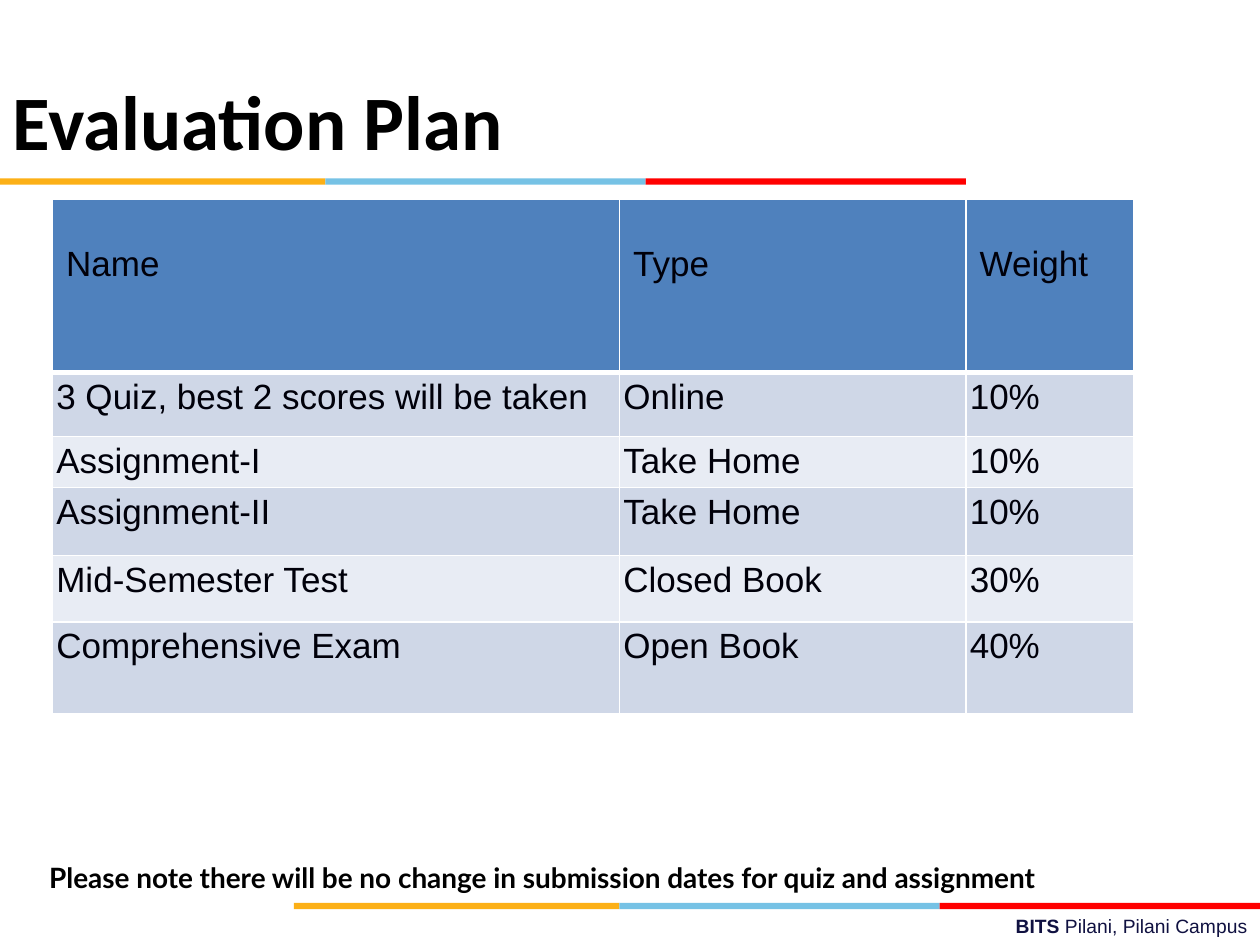
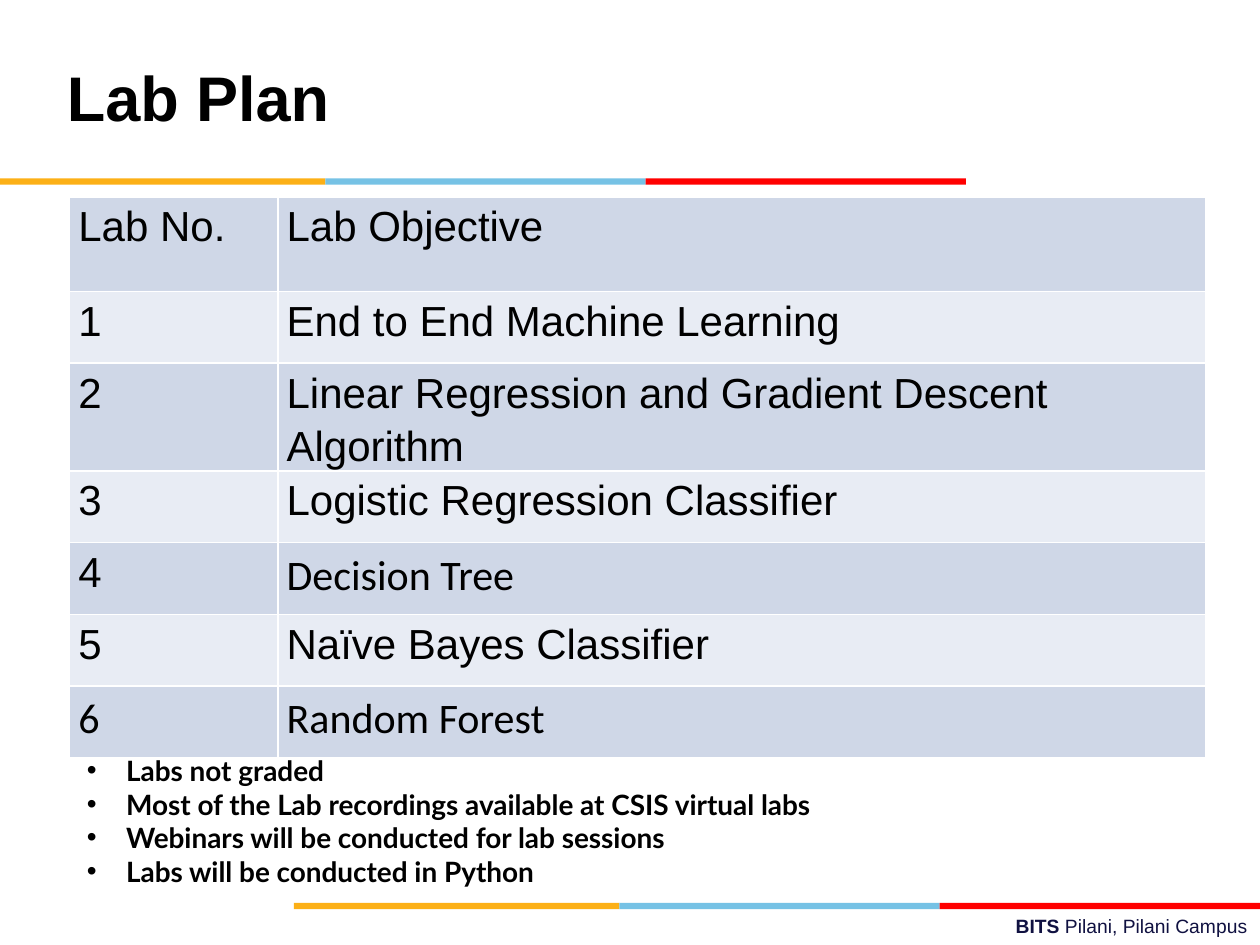
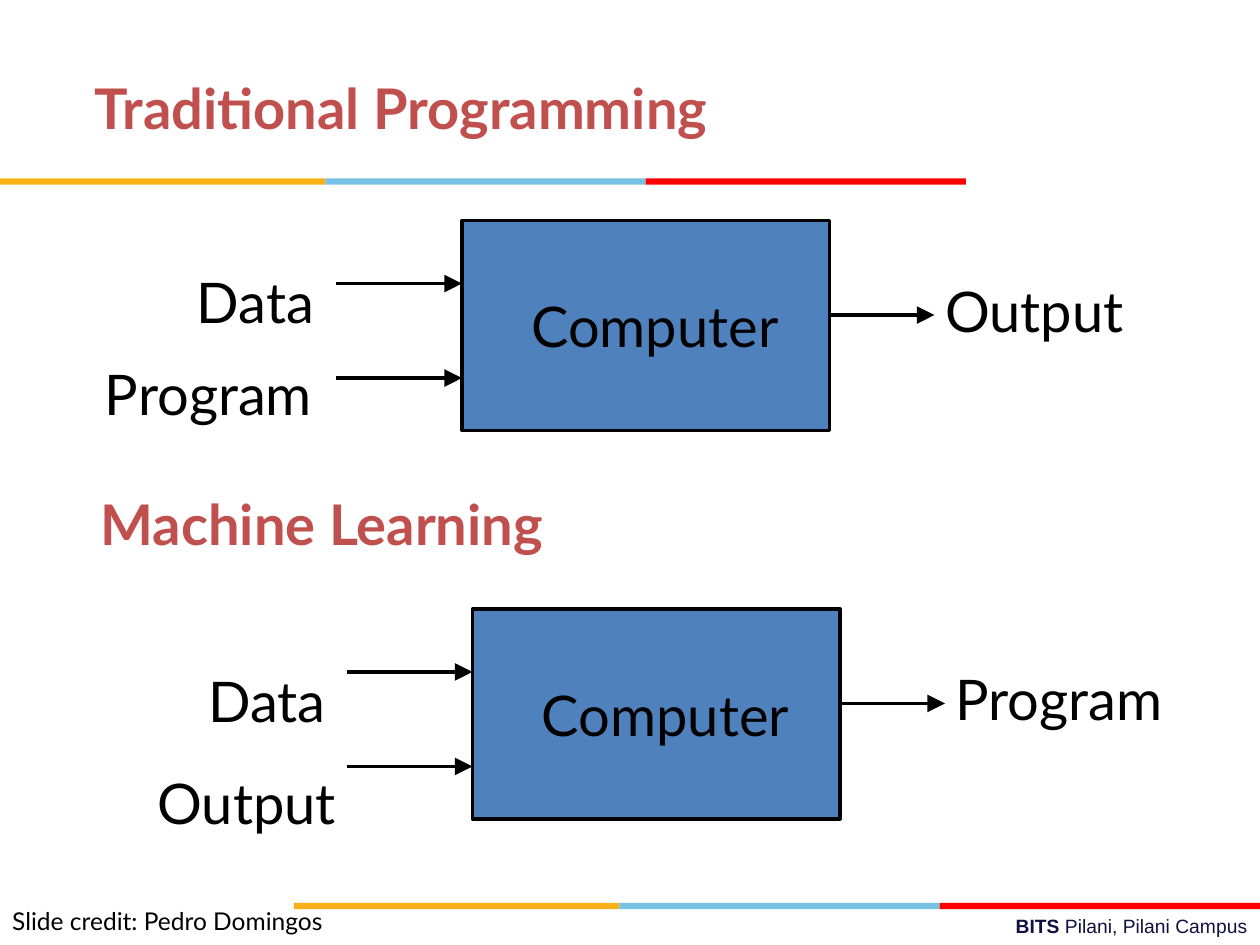
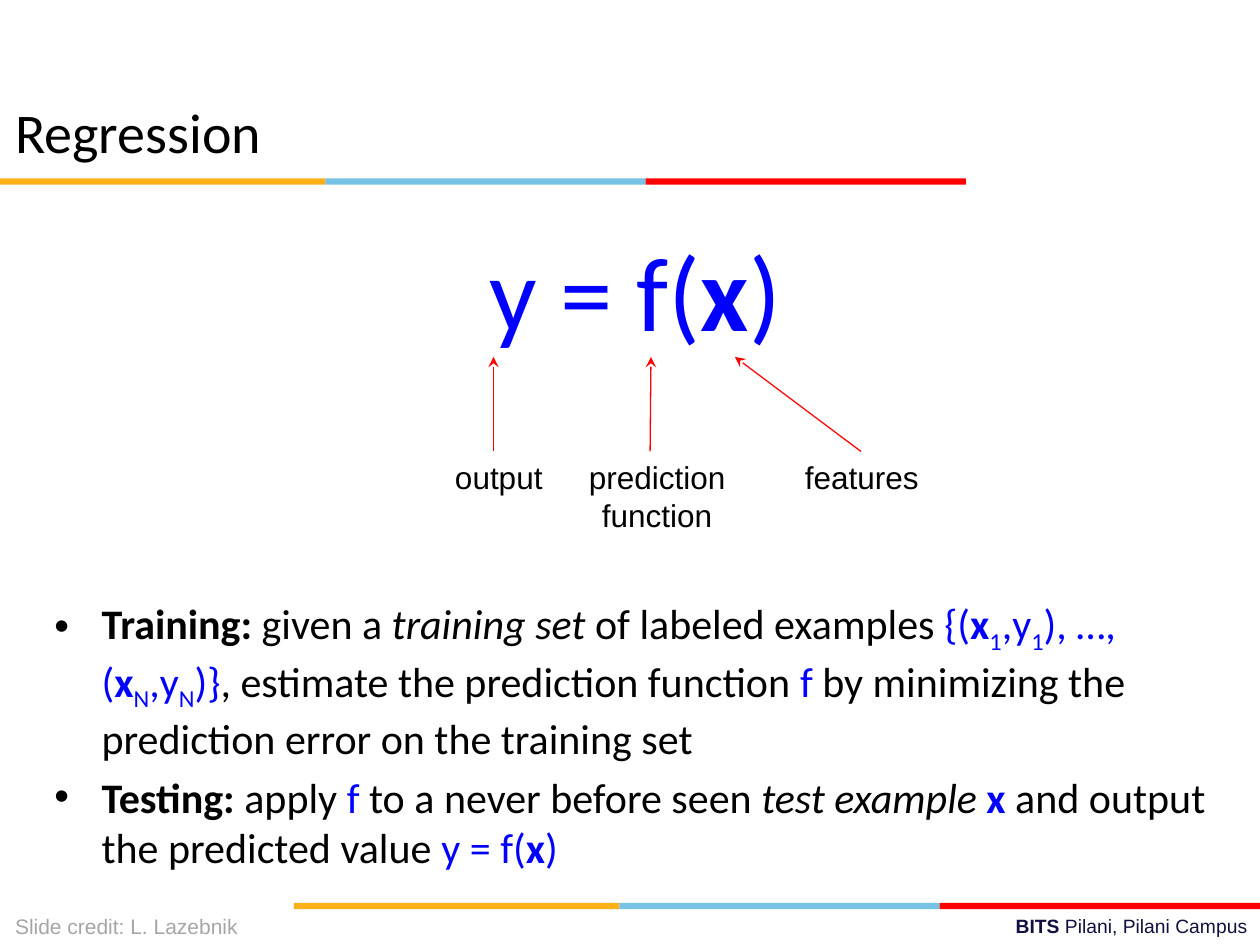
import dataclasses
import enum
import typing

import pptx
import pptx.dml.color
import pptx.enum.shapes
import pptx.enum.text
import pptx.oxml.ns
import pptx.presentation
import pptx.shapes.autoshape
import pptx.slide
import pptx.table
import pptx.text.text
import pptx.util
from lxml import etree

Pt = pptx.util.Pt
qn = pptx.oxml.ns.qn
ALIGN = pptx.enum.text.PP_ALIGN
ANCHOR = pptx.enum.text.MSO_ANCHOR
RECTANGLE = pptx.enum.shapes.MSO_SHAPE.RECTANGLE
STRAIGHT = pptx.enum.shapes.MSO_CONNECTOR.STRAIGHT
TITLE_ONLY = 5


class Style(enum.Flag):
    PLAIN = 0
    BOLD = enum.auto()
    ITALIC = enum.auto()
    MATH = enum.auto()
    SUBSCRIPT = enum.auto()


class Box(typing.NamedTuple):
    left: float
    top: float
    width: float
    height: float


class Margins(typing.NamedTuple):
    left: float
    top: float
    right: float
    bottom: float


class Look(typing.NamedTuple):
    font: str
    size: float
    color: str
    bold: bool = False


class Span(typing.NamedTuple):
    text: str
    style: Style = Style.PLAIN


@dataclasses.dataclass(frozen=True)
class Theme:
    black: str = "000000"
    red: str = "FF0000"
    blue: str = "4F81BD"
    white: str = "FFFFFF"
    math: str = "0000FF"
    bands: tuple[str, ...] = ("FCB017", "76C2E5", "FF0000")
    table_rows: tuple[str, str] = ("E8ECF4", "CFD7E7")
    campus: Look = Look("Arial", 11, "101141")
    evaluation_title: Look = Look("Calibri", 44, "000000", True)
    lab_title: Look = Look("Arial", 36, "000000", True)
    flow_title: Look = Look("Lato", 32, "C0504D", True)
    regression_title: Look = Look("Calibri", 32, "000000")
    evaluation_cell: Look = Look("Arial", 20, "00000A")
    lab_cell: Look = Look("Arial", 24, "000000")
    lab_cell_alternate: Look = Look("Calibri", 24, "000000")
    note: Look = Look("Lato", 16, "000000", True)
    flow_label: Look = Look("Lato", 32, "000000")
    flow_credit: Look = Look("Lato", 14, "000000")
    formula: Look = Look("Calibri", 60, "000000")
    body: Look = Look("Calibri", 24, "000000")
    formula_label: Look = Look("Arial", 18, "000000")
    regression_credit: Look = Look("Arial", 12, "A5A5A5")


@dataclasses.dataclass(frozen=True)
class Flow:
    """Two inputs entering a computer and one output leaving it."""
    left: float
    top: float
    inputs: tuple[str, str]
    inputs_box: Box
    first_indent: float
    line_spacing: float
    output: str


@dataclasses.dataclass(frozen=True)
class Grid:
    left: float
    top: float
    columns: tuple[float, ...]
    rows: tuple[float, ...]
    texts: tuple[tuple[str, ...], ...]


THEME = Theme()
NORMAL = Margins(7.2, 3.6, 7.2, 3.6)
TIGHT = Margins(0, 1, 0, 0)

EVALUATION = Grid(
    30, 114, (324, 198, 96), (99, 36.5, 29, 39, 38, 52.5),
    (
        ("Name", "Type", "Weight"),
        ("3 Quiz, best 2 scores will be taken", "Online", "10%"),
        ("Assignment-I", "Take Home", "10%"),
        ("Assignment-II", "Take Home", "10%"),
        ("Mid-Semester Test", "Closed Book", "30%"),
        ("Comprehensive Exam", "Open Book", "40%"),
    ),
)
LABS = Grid(
    39.8, 112.5, (119, 530.5), (54,) + (41,) * 6,
    (
        ("Lab No.", "Lab Objective"),
        ("1", "End to End Machine Learning"),
        ("2", "Linear Regression and Gradient Descent Algorithm"),
        ("3", "Logistic Regression Classifier"),
        ("4", "Decision Tree"),
        ("5", "Naïve Bayes Classifier"),
        ("6", "Random Forest"),
    ),
)
LAB_ALTERNATE_TEXTS = ("Decision Tree", "6", "Random Forest")
LAB_NOTES = (
    "Labs not graded",
    "Most of the Lab recordings available at CSIS virtual labs",
    "Webinars will be conducted for lab sessions",
    "Labs will be conducted in Python",
)
FLOWS = (
    Flow(264, 126, ("Data", "Program"), Box(60, 137.5, 138, 107), 52.5, 1.37, "Output"),
    Flow(270, 348, ("Data", "Output"), Box(90, 359.3, 132, 119.5), 29, 1.53, "Program"),
)

MATH = Style.MATH
VECTOR = Style.MATH | Style.BOLD
INDEX = Style.MATH | Style.SUBSCRIPT
FORMULA = (Span("y = f(", MATH), Span("x", VECTOR), Span(")", MATH))


def example(index: str) -> tuple[Span, ...]:
    """The inside of one labelled pair, such as x1,y1."""
    return Span("x", VECTOR), Span(index, INDEX), Span(",y", MATH), Span(index, INDEX)


TRAINING = (
    Span("Training: ", Style.BOLD), Span("given a "), Span("training set ", Style.ITALIC),
    Span("of labeled examples "), Span("{(", MATH), *example("1"), Span("), …, (", MATH),
    *example("N"), Span(")}", MATH), Span(", estimate the prediction function "),
    Span("f ", MATH),
    Span("by minimizing the prediction error on the training set"),
)
TESTING = (
    Span("Testing:", Style.BOLD), Span(" apply "), Span("f", MATH),
    Span(" to a never before seen "), Span("test example ", Style.ITALIC),
    Span("x", VECTOR), Span(" and output the predicted value "), *FORMULA,
)


def rgb(color: str) -> pptx.dml.color.RGBColor:
    return pptx.dml.color.RGBColor.from_string(color)


def format_run(run: pptx.text.text._Run, look: Look) -> None:
    run.font.name = look.font
    run.font.size = Pt(look.size)
    run.font.bold = look.bold
    run.font.color.rgb = rgb(look.color)


def write_spans(
    paragraph: pptx.text.text._Paragraph, spans: typing.Iterable[Span], look: Look
) -> None:
    for span in spans:
        run = paragraph.add_run()
        run.text = span.text
        format_run(run, look)
        run.font.bold = Style.BOLD in span.style
        run.font.italic = Style.ITALIC in span.style
        if Style.MATH in span.style:
            run.font.color.rgb = rgb(THEME.math)
        if Style.SUBSCRIPT in span.style:
            run.font._element.set("baseline", "-25000")


def indent(paragraph: pptx.text.text._Paragraph, left: float, first: float = 0) -> None:
    properties = paragraph._p.get_or_add_pPr()
    properties.set("marL", str(Pt(left)))
    properties.set("indent", str(Pt(first)))


def add_bullet(paragraph: pptx.text.text._Paragraph, hanging: float) -> None:
    indent(paragraph, hanging, -hanging)
    properties = paragraph._p.get_or_add_pPr()
    color = etree.SubElement(properties, qn("a:buClr"))
    etree.SubElement(color, qn("a:srgbClr"), val=THEME.black)
    etree.SubElement(properties, qn("a:buFont"), typeface="Arial")
    etree.SubElement(properties, qn("a:buChar"), char="•")


def set_frame(
    frame: pptx.text.text.TextFrame, margins: Margins, anchor: ANCHOR = ANCHOR.TOP
) -> None:
    frame.word_wrap = True
    frame.auto_size = pptx.enum.text.MSO_AUTO_SIZE.NONE
    frame.vertical_anchor = anchor
    frame.margin_left, frame.margin_top, frame.margin_right, frame.margin_bottom = map(
        Pt, margins
    )


def set_text(
    frame: pptx.text.text.TextFrame, text: str, look: Look, align: ALIGN = ALIGN.LEFT
) -> None:
    frame.text = text
    for paragraph in frame.paragraphs:
        paragraph.alignment = align
        for run in paragraph.runs:
            format_run(run, look)


def add_text(
    slide: pptx.slide.Slide, box: Box, text: str, look: Look,
    margins: Margins = NORMAL, align: ALIGN = ALIGN.LEFT,
) -> pptx.text.text.TextFrame:
    frame = slide.shapes.add_textbox(*map(Pt, box)).text_frame
    set_frame(frame, margins)
    set_text(frame, text, look, align)
    return frame


def add_rectangle(
    slide: pptx.slide.Slide, box: Box, color: str
) -> pptx.shapes.autoshape.Shape:
    shape = slide.shapes.add_shape(RECTANGLE, *map(Pt, box))
    shape.shadow.inherit = False
    shape.fill.solid()
    shape.fill.fore_color.rgb = rgb(color)
    shape.line.fill.background()
    return shape


def add_arrow(
    slide: pptx.slide.Slide, start: tuple[float, float], end: tuple[float, float],
    color: str, width: float, head: str, head_size: str,
) -> None:
    connector = slide.shapes.add_connector(STRAIGHT, *map(Pt, start + end))
    connector.line.color.rgb = rgb(color)
    connector.line.width = Pt(width)
    etree.SubElement(
        connector.line._get_or_add_ln(), qn("a:tailEnd"),
        type=head, w=head_size, len=head_size,
    )
    etree.SubElement(connector._element.spPr, qn("a:effectLst"))


def add_bands(slide: pptx.slide.Slide, left: float, top: float) -> None:
    for color, width in zip(THEME.bands, (186, 183, 183)):
        add_rectangle(slide, Box(left, top, width, 3.6), color)
        left += width


def add_slide(
    presentation: pptx.presentation.Presentation, title: str, box: Box, look: Look,
    margins: Margins = NORMAL, anchor: ANCHOR = ANCHOR.MIDDLE,
) -> pptx.slide.Slide:
    """Add a slide with its title, both colour bands and the campus footer."""
    slide = presentation.slides.add_slide(presentation.slide_layouts[TITLE_ONLY])
    footer = add_text(slide, Box(258, 519, 462, 21), "", THEME.campus)
    footer.paragraphs[0].alignment = ALIGN.RIGHT
    spans = Span("BITS ", Style.BOLD), Span("Pilani, Pilani Campus")
    write_spans(footer.paragraphs[0], spans, THEME.campus)
    add_bands(slide, 168, 516)
    add_bands(slide, 0, 102)
    shape = slide.shapes.title
    shape.left, shape.top, shape.width, shape.height = map(Pt, box)
    set_frame(shape.text_frame, margins, anchor)
    set_text(shape.text_frame, title, look)
    return slide


def set_borders(cell: pptx.table._Cell, top: float, bottom: float) -> None:
    properties = cell._tc.get_or_add_tcPr()
    for side, width in zip("LRTB", (1, 1, top, bottom)):
        line = etree.SubElement(properties, qn(f"a:ln{side}"), w=str(Pt(width)))
        fill = etree.SubElement(line, qn("a:solidFill"))
        etree.SubElement(fill, qn("a:srgbClr"), val=THEME.white)


def set_cell(
    cell: pptx.table._Cell, text: str, look: Look, margins: Margins, color: str,
    top: float = 1, bottom: float = 1,
) -> None:
    cell.margin_left, cell.margin_top, cell.margin_right, cell.margin_bottom = map(
        Pt, margins
    )
    set_text(cell.text_frame, text, look)
    set_borders(cell, top, bottom)
    cell.fill.solid()
    cell.fill.fore_color.rgb = rgb(color)


def add_grid(slide: pptx.slide.Slide, grid: Grid) -> pptx.table.Table:
    box = Box(grid.left, grid.top, sum(grid.columns), sum(grid.rows))
    table = slide.shapes.add_table(
        len(grid.rows), len(grid.columns), *map(Pt, box)
    ).table
    table.first_row = table.horz_banding = False
    for column, width in zip(table.columns, grid.columns):
        column.width = Pt(width)
    for row, height in zip(table.rows, grid.rows):
        row.height = Pt(height)
    return table


def build_evaluation(presentation: pptx.presentation.Presentation) -> None:
    slide = add_slide(
        presentation, "Evaluation Plan", Box(0, 35, 482, 67), THEME.evaluation_title
    )
    table = add_grid(slide, EVALUATION)
    for row, texts in enumerate(EVALUATION.texts):
        for column, text in enumerate(texts):
            set_cell(
                table.cell(row, column), text, THEME.evaluation_cell,
                Margins(2.2, 2.9, 2.9, 2.9) if row else Margins(7.8, 26, 2.9, 2.9),
                THEME.table_rows[row % 2] if row else THEME.blue,
                top=3 if row == 1 else 1,
                bottom=1 if row else 3,
            )
    add_text(
        slide, Box(21, 488, 666, 27),
        "Please note there will be no change in submission dates for quiz and assignment",
        THEME.note,
    )


def build_labs(presentation: pptx.presentation.Presentation) -> None:
    slide = add_slide(presentation, "Lab Plan", Box(31, 21.5, 482, 67), THEME.lab_title)
    table = add_grid(slide, LABS)
    for row, texts in enumerate(LABS.texts):
        for column, text in enumerate(texts):
            alternate = text in LAB_ALTERNATE_TEXTS
            cell = table.cell(row, column)
            set_cell(
                cell, text, THEME.lab_cell_alternate if alternate else THEME.lab_cell,
                Margins(5, 0, 5, 0), THEME.table_rows[(row + 1) % 2],
            )
            cell.text_frame.paragraphs[0].line_spacing = 1.15
    notes = add_text(slide, Box(42.5, 427, 666, 85), "\n".join(LAB_NOTES), THEME.note)
    for paragraph in notes.paragraphs:
        add_bullet(paragraph, 22.5)


def add_flow(slide: pptx.slide.Slide, flow: Flow) -> None:
    computer = add_rectangle(slide, Box(flow.left, flow.top, 210, 120), THEME.blue)
    computer.line.color.rgb = rgb(THEME.black)
    computer.line.width = Pt(2)
    set_frame(computer.text_frame, Margins(39.6, 0, 0, 0), ANCHOR.MIDDLE)
    set_text(computer.text_frame, "Computer", THEME.flow_label)

    right = flow.left + 210
    for start, end, drop in (
        (flow.left - 72, flow.left, 36),
        (flow.left - 72, flow.left, 90),
        (right, right + 60, 54),
    ):
        y = flow.top + drop
        add_arrow(slide, (start, y), (end, y), THEME.black, 2, "triangle", "lg")

    inputs = add_text(
        slide, flow.inputs_box, "\n".join(flow.inputs), THEME.flow_label, TIGHT
    )
    for paragraph in inputs.paragraphs:
        paragraph.line_spacing = flow.line_spacing
    indent(inputs.paragraphs[0], flow.first_indent)
    add_text(
        slide, Box(right + 66, flow.top + 31, 132, 40), flow.output,
        THEME.flow_label, TIGHT,
    )


def build_flows(presentation: pptx.presentation.Presentation) -> None:
    slide = add_slide(
        presentation, "Traditional Programming", Box(54, 41, 384, 40),
        THEME.flow_title, TIGHT, ANCHOR.TOP,
    )
    add_text(
        slide, Box(57.5, 278.5, 315, 40), "Machine Learning", THEME.flow_title, TIGHT
    )
    for flow in FLOWS:
        add_flow(slide, flow)
    add_text(
        slide, Box(7, 517, 191, 19), "Slide credit: Pedro Domingos",
        THEME.flow_credit, TIGHT,
    )


def build_regression(presentation: pptx.presentation.Presentation) -> None:
    slide = add_slide(
        presentation, "Regression", Box(1.5, 54.5, 397, 41), THEME.regression_title
    )
    body = add_text(slide, Box(24, 126, 678, 356), "", THEME.body)
    formula = body.paragraphs[0]
    formula.alignment = ALIGN.CENTER
    write_spans(formula, FORMULA, THEME.formula)
    for spans, space_before in ((TRAINING, 140), (TESTING, 4.8)):
        paragraph = body.add_paragraph()
        paragraph.space_before = Pt(space_before)
        add_bullet(paragraph, 27)
        write_spans(paragraph, spans, THEME.body)

    for start, end in (
        ((282, 258), (282, 204)),
        ((371.5, 258), (372, 204)),
        ((492, 258), (420, 204)),
    ):
        add_arrow(slide, start, end, THEME.red, 0.75, "stealth", "med")
    for text, box in (
        ("output", Box(252.5, 258, 65, 29)),
        ("prediction function", Box(301, 258, 149, 51)),
        ("features", Box(433, 258, 119, 29)),
    ):
        add_text(slide, box, text, THEME.formula_label, align=ALIGN.CENTER)
    add_text(
        slide, Box(1.5, 518.5, 143, 21.5), "Slide credit: L. Lazebnik",
        THEME.regression_credit,
    )


def main() -> None:
    presentation = pptx.Presentation()
    presentation.slide_width = Pt(720)
    presentation.slide_height = Pt(540)
    build_evaluation(presentation)
    build_labs(presentation)
    build_flows(presentation)
    build_regression(presentation)
    presentation.save("out.pptx")


if __name__ == "__main__":
    main()
